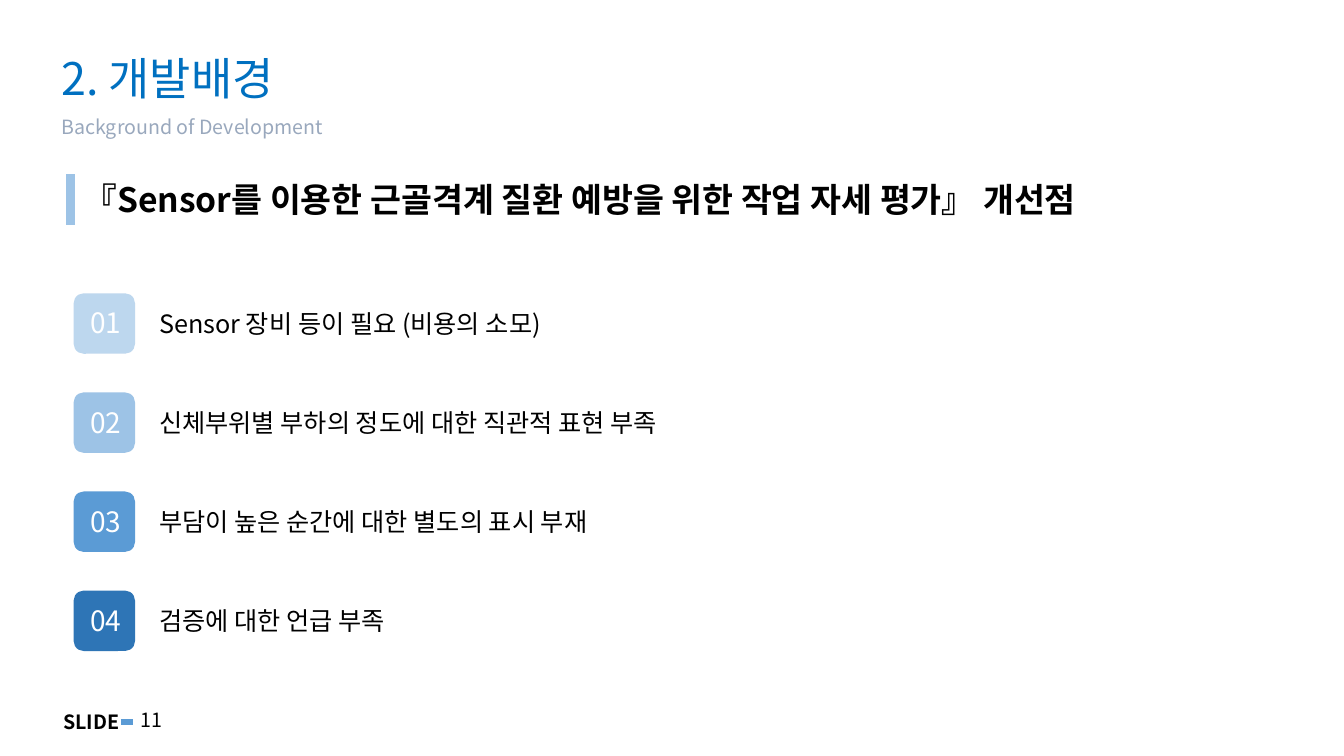
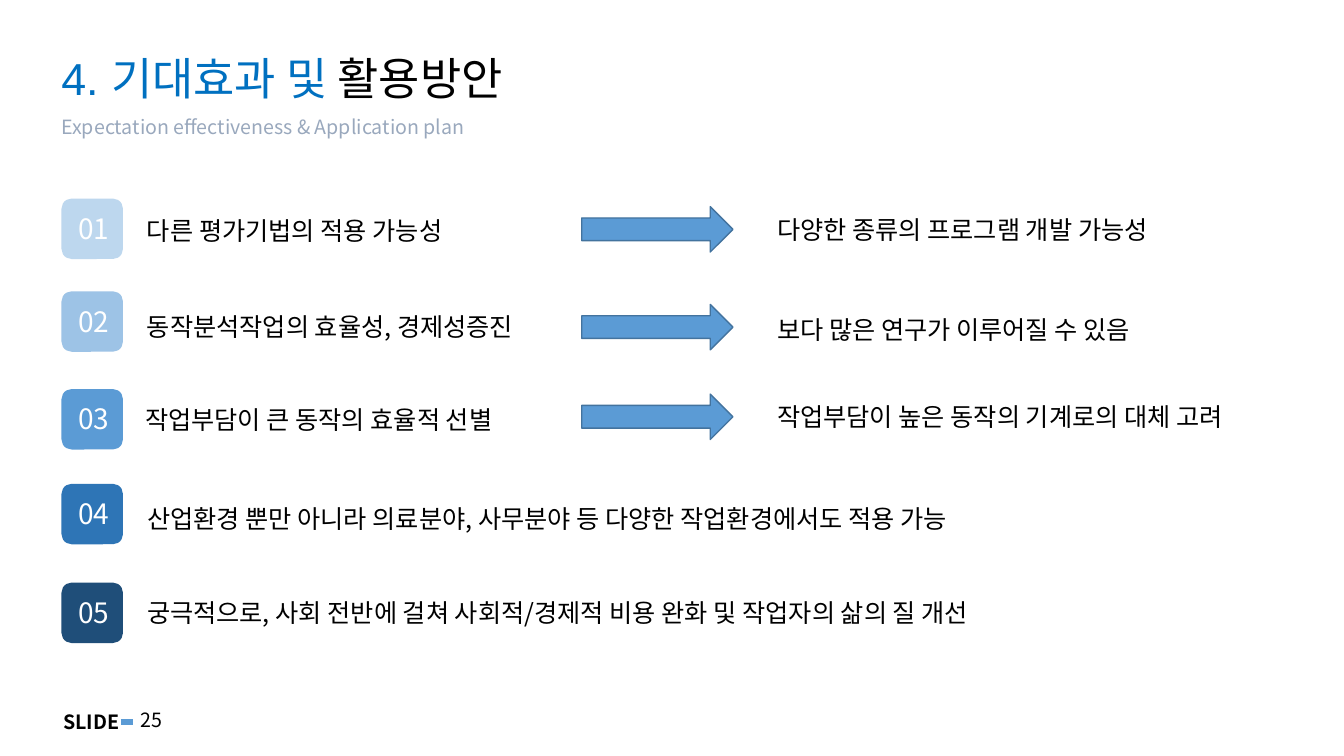
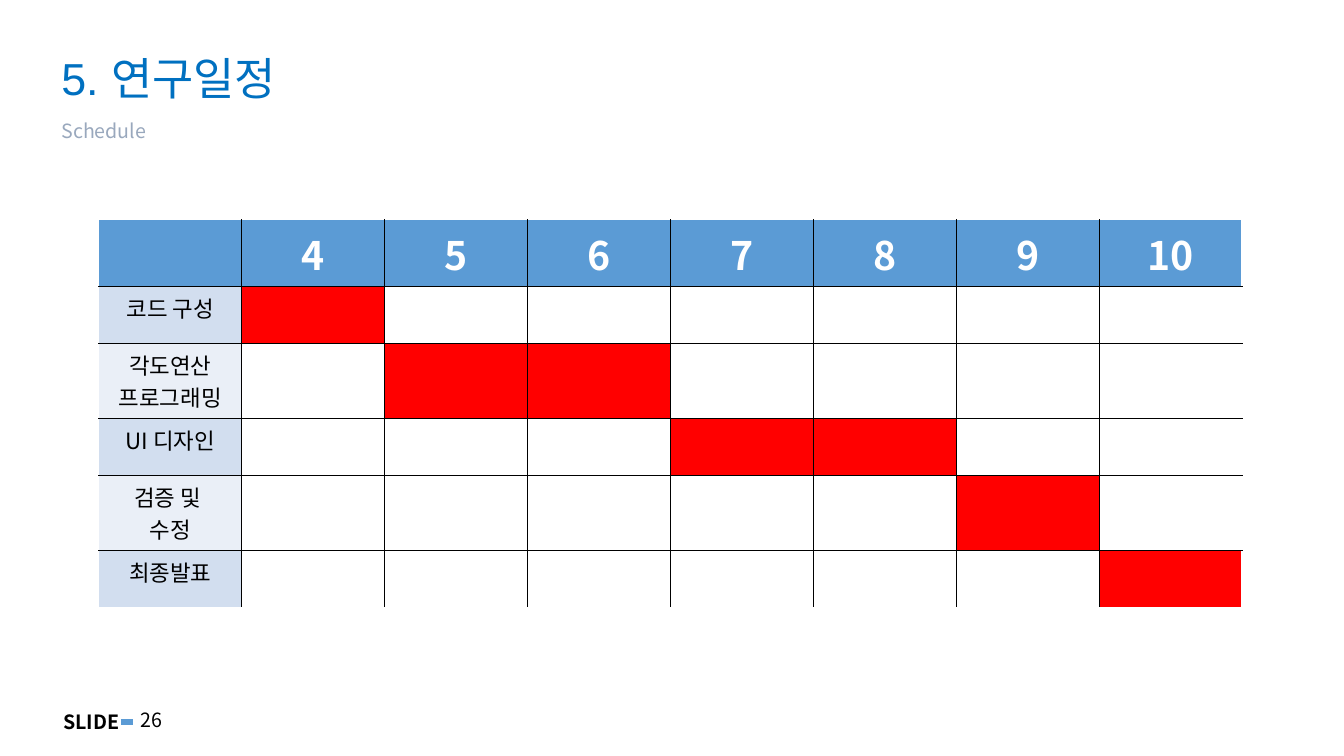
from lxml.etree import SubElement
from pptx import Presentation
from pptx.dml.color import RGBColor
from pptx.enum.shapes import MSO_CONNECTOR, MSO_SHAPE
from pptx.enum.text import MSO_ANCHOR, PP_ALIGN
from pptx.oxml.ns import qn
from pptx.util import Inches, Pt

FONT = "Noto Sans CJK KR"
COLORS = {
    "text": "000000", "white": "FFFFFF", "title": "0070C0", "subtitle": "99A8BD",
    "accent": "5B9BD5", "arrow_line": "43739E", "bar": "9DC3E6",
    "band_dark": "D2DEEF", "band_light": "EAEFF7", "busy": "FF0000",
}
BADGE_COLORS = ["BDD7EE", "9DC3E6", "5B9BD5", "2E75B6", "1F4E79"]

HEADING = "『Sensor를 이용한 근골격계 질환 예방을 위한 작업 자세 평가』 개선점"
IMPROVEMENTS = [
    "Sensor 장비 등이 필요 (비용의 소모)",
    "신체부위별 부하의 정도에 대한 직관적 표현 부족",
    "부담이 높은 순간에 대한 별도의 표시 부재",
    "검증에 대한 언급 부족",
]
EFFECTS = [
    {"badge": 1.97, "text": (1.36, 2.09, "다른 평가기법의 적용 가능성"),
     "arrow": 2.05, "result": (2.08, "다양한 종류의 프로그램 개발 가능성")},
    {"badge": 2.89, "text": (1.36, 3.04, "동작분석작업의 효율성, 경제성증진"),
     "arrow": 3.02, "result": (3.07, "보다 많은 연구가 이루어질 수 있음")},
    {"badge": 3.86, "text": (1.34, 3.96, "작업부담이 큰 동작의 효율적 선별"),
     "arrow": 3.91, "result": (3.93, "작업부담이 높은 동작의 기계로의 대체 고려")},
    {"badge": 4.8, "text": (1.36, 4.94, "산업환경 뿐만 아니라 의료분야, 사무분야 등 다양한 작업환경에서도 적용 가능")},
    {"badge": 5.78, "text": (1.36, 5.88, "궁극적으로, 사회 전반에 걸쳐 사회적/경제적 비용 완화 및 작업자의 삶의 질 개선")},
]
MONTHS = [4, 5, 6, 7, 8, 9, 10]
TASKS = [
    ("코드 구성", [4]),
    ("각도연산\n프로그래밍", [5, 6]),
    ("UI 디자인", [7, 8]),
    ("검증 및 \n수정", [9]),
    ("최종발표", [10]),
]
HEADER_HEIGHT = 0.66
TASK_HEIGHTS = {1: 0.57, 2: 0.74}


def rgb(name):
    return RGBColor.from_string(COLORS.get(name, name))


def write_text(frame, text, size=18, color="text", bold=False, font=FONT,
               align=PP_ALIGN.LEFT, spacing=None):
    pieces = text if isinstance(text, list) else [(text, color)]
    paragraph = frame.paragraphs[0]
    for piece, piece_color in pieces:
        for number, line in enumerate(piece.split("\n")):
            if number:
                paragraph = frame.add_paragraph()
            paragraph.alignment = align
            if spacing:
                paragraph.line_spacing = spacing
            run = paragraph.add_run()
            run.text = line
            run.font.size = Pt(size)
            run.font.bold = bold
            run.font.color.rgb = rgb(piece_color)
            run.font.name = font
            properties = run.font._element
            properties.set("kern", "0")
            SubElement(properties, qn("a:ea")).set("typeface", FONT)


def add_text(slide, left, top, width, height, text, anchor=MSO_ANCHOR.TOP, **style):
    box = slide.shapes.add_textbox(Inches(left), Inches(top), Inches(width), Inches(height))
    box.text_frame.word_wrap = True
    box.text_frame.vertical_anchor = anchor
    write_text(box.text_frame, text, **style)


def add_line(slide, start, end, color, width):
    line = slide.shapes.add_connector(
        MSO_CONNECTOR.STRAIGHT, *[Inches(value) for value in start + end])
    line.line.color.rgb = rgb(color)
    line.line.width = Pt(width)
    SubElement(line._element.spPr, qn("a:effectLst"))


def add_filled(slide, kind, left, top, width, height, fill, outline=None):
    shape = slide.shapes.add_shape(
        kind, Inches(left), Inches(top), Inches(width), Inches(height))
    shape.shadow.inherit = False
    shape.fill.solid()
    shape.fill.fore_color.rgb = rgb(fill)
    if outline:
        shape.line.color.rgb = rgb(outline)
        shape.line.width = Pt(1)
    else:
        shape.line.fill.background()
    return shape


def add_badge(slide, left, top, index):
    badge = add_filled(slide, MSO_SHAPE.ROUNDED_RECTANGLE, left, top, 0.61, 0.6,
                       BADGE_COLORS[index])
    frame = badge.text_frame
    frame.margin_right = frame.margin_bottom = 0
    frame.margin_left = frame.margin_top = Inches(0.03)
    frame.vertical_anchor = MSO_ANCHOR.MIDDLE
    write_text(frame, f"{index + 1:02d}", size=20, color="white",
               align=PP_ALIGN.CENTER, spacing=0.89)


def add_base_slide(presentation, number, title, subtitle, title_font=FONT, subtitle_top=1.12):
    slide = presentation.slides.add_slide(presentation.slide_layouts[6])
    add_text(slide, 0.51, 0.49, 12.42, 0.62, title, anchor=MSO_ANCHOR.MIDDLE,
             size=32, color="title", font=title_font, spacing=0.9)
    add_text(slide, 0.51, subtitle_top, 12.42, 0.48, subtitle,
             size=14, color="subtitle", spacing=0.9)
    add_text(slide, 0.53, 6.99, 0.82, 0.34, "SLIDE", size=14, bold=True)
    add_line(slide, (1.2, 7.16), (1.32, 7.16), "accent", 4.5)
    add_text(slide, 1.3, 6.97, 0.71, 0.34, str(number), size=14)
    return slide


def format_cell(cell, fill, edges):
    cell.fill.solid()
    cell.fill.fore_color.rgb = rgb(fill)
    properties = cell._tc.get_or_add_tcPr()
    for position, (side, outer) in enumerate(edges):
        border = SubElement(properties, qn(f"a:ln{side}"), w=str(Pt(1)))
        color = SubElement(SubElement(border, qn("a:solidFill")), qn("a:srgbClr"))
        color.set("val", COLORS["white" if outer else "text"])
        properties.insert(position, border)


def add_background_slide(presentation):
    slide = add_base_slide(presentation, 11, "2. 개발배경", "Background of Development")
    add_text(slide, 0.73, 1.73, 12.42, 0.5, HEADING, size=24, bold=True)
    add_line(slide, (0.7, 1.73), (0.7, 2.23), "bar", 6)
    for index, text in enumerate(IMPROVEMENTS):
        top = 2.91 + 0.983 * index
        add_badge(slide, 0.73, top, index)
        add_text(slide, 1.48, top + 0.1, 9.12, 0.4, text)


def add_effects_slide(presentation):
    title = [("4. 기대효과 및 ", "title"), ("활용방안", "text")]
    slide = add_base_slide(presentation, 25, title,
                           "Expectation effectiveness & Application plan", title_font="Arial")
    for index, row in enumerate(EFFECTS):
        add_badge(slide, 0.61, row["badge"], index)
        left, top, text = row["text"]
        add_text(slide, left, top, 4.3 if "arrow" in row else 9.42, 0.4, text)
        if "arrow" in row:
            add_filled(slide, MSO_SHAPE.RIGHT_ARROW, 5.77, row["arrow"], 1.5, 0.45,
                       "accent", outline="arrow_line")
            result_top, result = row["result"]
            add_text(slide, 7.61, result_top, 5.24, 0.4, result)


def add_schedule_slide(presentation):
    slide = add_base_slide(presentation, 26, "5. 연구일정", "Schedule",
                           title_font="Arial", subtitle_top=1.16)
    heights = [HEADER_HEIGHT] + [TASK_HEIGHTS[len(task.split("\n"))] for task, _ in TASKS]
    rows, columns = len(heights), len(MONTHS) + 1
    table = slide.shapes.add_table(rows, columns, Inches(0.98), Inches(2.18),
                                   Inches(11.34), Inches(sum(heights))).table
    table.first_row = table.horz_banding = False
    for row, height in enumerate(heights):
        table.rows[row].height = Inches(height)
        for column in range(columns):
            cell = table.cell(row, column)
            if row == 0:
                fill = "accent"
                if column:
                    write_text(cell.text_frame, str(MONTHS[column - 1]), size=28,
                               color="white", bold=True, align=PP_ALIGN.CENTER)
            else:
                task, busy_months = TASKS[row - 1]
                if column == 0:
                    fill = "band_dark" if row % 2 else "band_light"
                    write_text(cell.text_frame, task, size=16, align=PP_ALIGN.CENTER)
                else:
                    fill = "busy" if MONTHS[column - 1] in busy_months else "white"
            format_cell(cell, fill, [
                ("L", column == 0), ("R", column == columns - 1),
                ("T", row == 0), ("B", row == rows - 1)])


def main():
    presentation = Presentation()
    presentation.slide_width = Inches(13.33)
    presentation.slide_height = Inches(7.5)
    add_background_slide(presentation)
    add_effects_slide(presentation)
    add_schedule_slide(presentation)
    presentation.save("out.pptx")


if __name__ == "__main__":
    main()
